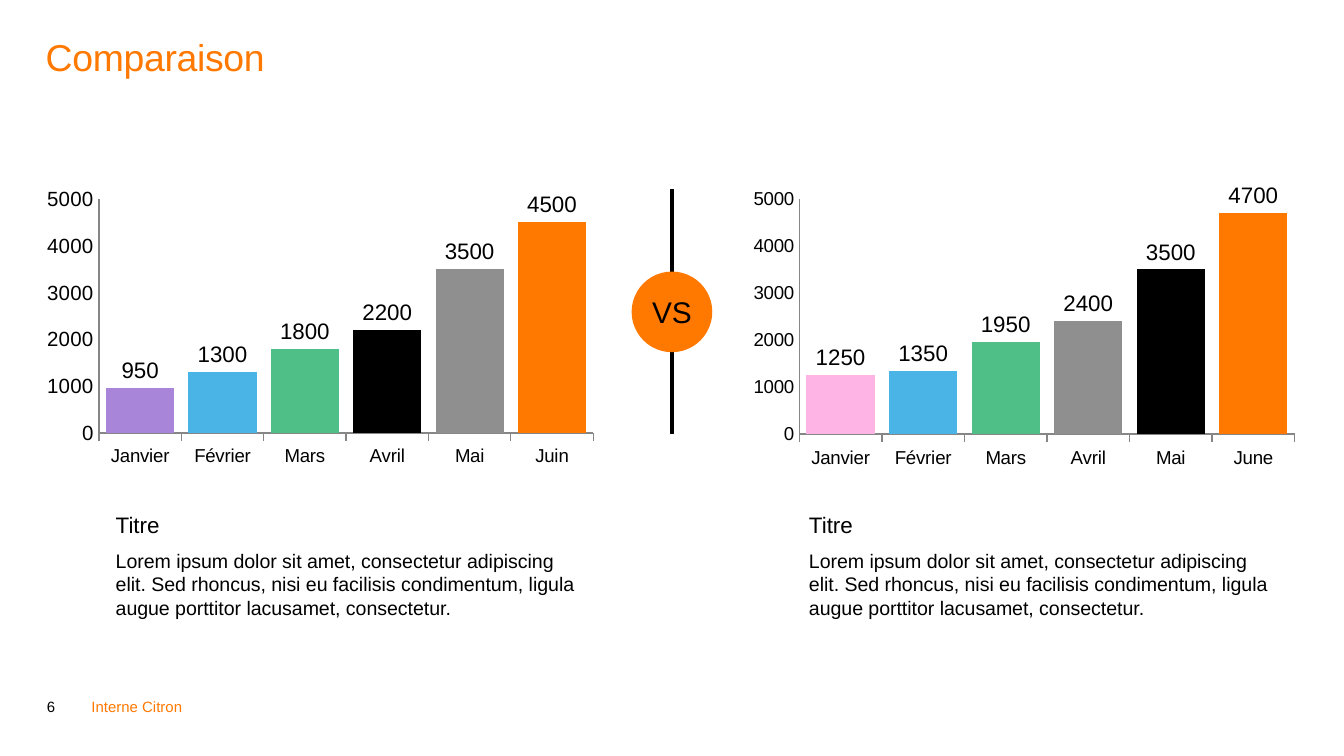
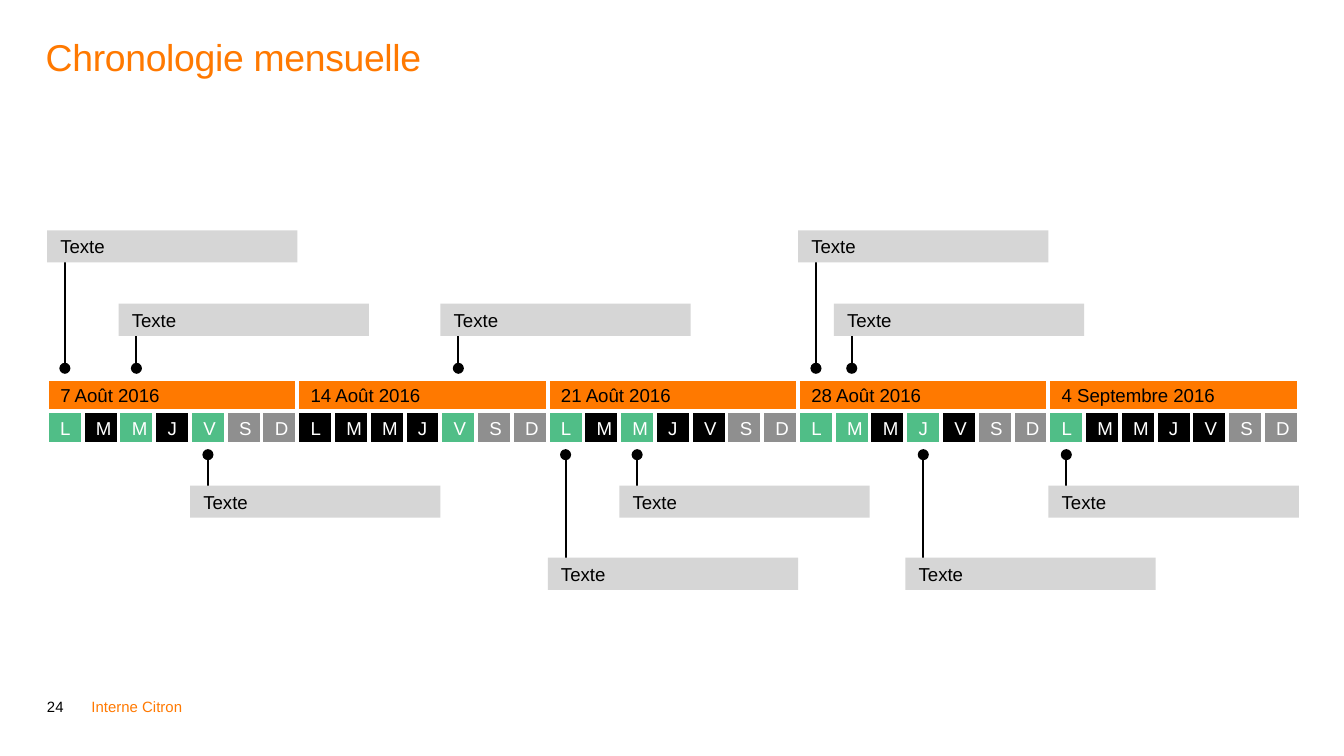
from lxml import etree
from pptx import Presentation
from pptx.chart.data import CategoryChartData
from pptx.dml.color import RGBColor
from pptx.enum import chart as ch, shapes, text
from pptx.oxml import parse_xml
from pptx.oxml.ns import nsdecls, qn
from pptx.util import Pt

FONT = "Arial"
COLORS = {name: RGBColor.from_string(value) for name, value in {
    "orange": "FF7900", "black": "000000", "white": "FFFFFF", "gray": "8F8F8F",
    "light": "D6D6D6", "green": "50BE87", "blue": "4BB4E6", "purple": "A885D8",
    "pink": "FFB4E6", "axis": "868686"}.items()}
LEFT, CENTER = text.PP_ALIGN.LEFT, text.PP_ALIGN.CENTER
TOP, MIDDLE, BOTTOM = (text.MSO_ANCHOR.TOP, text.MSO_ANCHOR.MIDDLE,
                       text.MSO_ANCHOR.BOTTOM)


def add_block(slide, box, lines, color="black", fill=None, outline=None,
              kind=shapes.MSO_SHAPE.RECTANGLE, align=LEFT, anchor=MIDDLE, wrap=True):
    """Add a filled shape, or a margin-free text box without fill; lines are (text, size)."""
    box = [Pt(length) for length in box]
    if fill:
        shape = slide.shapes.add_shape(kind, *box)
        shape.shadow.inherit = False
        shape.fill.solid()
        shape.fill.fore_color.rgb = COLORS[fill]
        if outline:
            shape.line.color.rgb = COLORS[outline]
            shape.line.width = Pt(2)
        else:
            shape.line.fill.background()
    else:
        shape = slide.shapes.add_textbox(*box)
    frame = shape.text_frame
    if not fill:
        frame.margin_left = frame.margin_right = frame.margin_top = frame.margin_bottom = 0
    frame.word_wrap = wrap
    frame.vertical_anchor = anchor
    for index, (content, size) in enumerate(lines):
        paragraph = frame.add_paragraph() if index else frame.paragraphs[0]
        paragraph.text = content
        paragraph.alignment = align
        paragraph.font.name = FONT
        paragraph.font.size = Pt(size)
        paragraph.font.color.rgb = COLORS[color]
        if index:
            paragraph.space_before = Pt(6)


def add_vertical_line(slide, x, start, end, width, dot=False):
    line = slide.shapes.add_connector(
        shapes.MSO_CONNECTOR.STRAIGHT, Pt(x), Pt(start), Pt(x), Pt(end))
    line.line.color.rgb = COLORS["black"]
    line.line.width = Pt(width)
    if dot:
        etree.SubElement(line.line._get_or_add_ln(), qn("a:tailEnd"), type="oval")
    etree.SubElement(line._element.spPr, qn("a:effectLst"))


presentation = Presentation()
presentation.slide_width, presentation.slide_height = Pt(720), Pt(405)

# Title, number and footer of each slide
slides = []
for title_text, number in [("Comparaison", "6"), ("Chronologie mensuelle", "24")]:
    slide = presentation.slides.add_slide(presentation.slide_layouts[5])
    slides.append(slide)
    title = slide.shapes.title
    title.left, title.top, title.width, title.height = Pt(24.5), Pt(21), Pt(670), Pt(58)
    frame = title.text_frame
    frame.text = title_text
    frame.margin_left = frame.margin_right = frame.margin_top = frame.margin_bottom = 0
    frame.vertical_anchor = TOP
    frame.auto_size = text.MSO_AUTO_SIZE.NONE
    paragraph = frame.paragraphs[0]
    paragraph.alignment = LEFT
    paragraph.line_spacing = 0.9
    paragraph.font.name = FONT
    paragraph.font.size = Pt(20)
    paragraph.font.color.rgb = COLORS["orange"]
    paragraph.runs[0].font._element.set("spc", "-20")
    add_block(slide, (25.2, 357, 21.6, 26.6), [(number, 8)], anchor=BOTTOM)
    add_block(slide, (49, 373.7, 58, 9.4), [("Interne Citron", 8)], "orange",
              anchor=TOP, wrap=False)
comparison, timeline = slides

# Comparison: one chart and one text per side
MONTHS = ["Janvier", "Février", "Mars", "Avril", "Mai"]
LOREM = ("Lorem ipsum dolor sit amet, consectetur adipiscing elit. Sed rhoncus, nisi eu "
         "facilisis condimentum, ligula augue porttitor lacusamet, consectetur.")
SIDES = [
    # chart left, chart top, text left, last month, value axis size, plot top and height
    (25.2, 94.3, 62, "Juin", 11, 0.077, 0.789, [950, 1300, 1800, 2200, 3500, 4500],
     ["purple", "blue", "green", "black", "gray", "orange"]),
    (401, 95, 433.4, "June", 10, 0.073, 0.793, [1250, 1350, 1950, 2400, 3500, 4700],
     ["pink", "blue", "green", "gray", "black", "orange"]),
]
for (chart_left, chart_top, text_left, last_month, axis_size, plot_top, plot_height,
     values, bar_colors) in SIDES:
    data = CategoryChartData()
    data.categories = MONTHS + [last_month]
    data.add_series("Series 1", values)
    chart = comparison.shapes.add_chart(
        ch.XL_CHART_TYPE.COLUMN_CLUSTERED, Pt(chart_left), Pt(chart_top),
        Pt(293), Pt(159), data).chart
    chart.has_legend = chart.has_title = False
    chart.font.name = FONT
    chart.font.size = Pt(10)
    chart.font.color.rgb = COLORS["black"]

    value_axis, category_axis = chart.value_axis, chart.category_axis
    value_axis.minimum_scale, value_axis.maximum_scale = 0, 5000
    value_axis.major_unit = 1000
    value_axis.has_major_gridlines = False
    value_axis.major_tick_mark = ch.XL_TICK_MARK.NONE
    category_axis.major_tick_mark = ch.XL_TICK_MARK.OUTSIDE
    for axis, size in [(value_axis, axis_size), (category_axis, 10)]:
        axis.tick_labels.font.size = Pt(size)
        axis.format.line.color.rgb = COLORS["axis"]
        axis.format.line.width = Pt(0.75)

    plot = chart.plots[0]
    plot.gap_width = 21
    plot.vary_by_categories = False
    plot.has_data_labels = True
    labels = plot.data_labels
    labels.show_value = True
    labels.position = ch.XL_LABEL_POSITION.OUTSIDE_END
    labels.font.size = Pt(12)
    series = plot.series[0]
    series.format.fill.solid()
    series.format.fill.fore_color.rgb = COLORS["orange"]
    for index, name in enumerate(bar_colors):
        fill = series.points[index].format.fill
        fill.solid()
        fill.fore_color.rgb = COLORS[name]

    plot_area = chart._chartSpace.chart.plotArea
    for layout in plot_area.findall(qn("c:layout")):
        plot_area.remove(layout)
    plot_area.insert(0, parse_xml(
        f'<c:layout {nsdecls("c")}><c:manualLayout><c:layoutTarget val="inner"/>'
        '<c:xMode val="edge"/><c:yMode val="edge"/>'
        f'<c:x val="0.093"/><c:y val="{plot_top}"/>'
        f'<c:w val="0.907"/><c:h val="{plot_height}"/></c:manualLayout></c:layout>'))

    add_block(comparison, (text_left, 273.6, 252.7, 59),
              [("Titre", 12), (LOREM, 10.5)], anchor=TOP)

add_vertical_line(comparison, 360, 232.5, 101.5, 2)
add_block(comparison, (338.4, 145.5, 43.2, 43.2), [("VS", 16)], fill="orange",
          kind=shapes.MSO_SHAPE.OVAL, align=CENTER, wrap=False)

# Timeline: weeks, days, and a card for each marked day
LEFT_EDGE, WEEK_WIDTH, ROW_HEIGHT = 25.2, 134.12, 17.2
DAY_WIDTH = WEEK_WIDTH / 7
WEEKS = ["7 Août 2016", "14 Août 2016", "21 Août 2016", "28 Août 2016", "4 Septembre 2016"]
CARD_TOPS = {0: 123.4, 2: 162.7, 11: 162.7, 21: 123.4, 22: 162.7,
             4: 260.2, 14: 298.8, 16: 260.2, 24: 298.8, 28: 260.2}
for week, label in enumerate(WEEKS):
    add_block(timeline, (LEFT_EDGE + week * WEEK_WIDTH, 203.2, WEEK_WIDTH, ROW_HEIGHT),
              [(label, 10)], fill="orange", outline="white")
for day, letter in enumerate("LMMJVSD" * len(WEEKS)):
    fill = "green" if day in CARD_TOPS else "gray" if day % 7 > 4 else "black"
    add_block(timeline, (LEFT_EDGE + day * DAY_WIDTH, 220.5, DAY_WIDTH, ROW_HEIGHT),
              [(letter, 10)], "white", fill, "white", align=CENTER)
for day, top in CARD_TOPS.items():
    left = LEFT_EDGE + day * DAY_WIDTH
    start, end = (top + ROW_HEIGHT, 197.3) if top < 203 else (top, 243.6)
    add_vertical_line(timeline, left + DAY_WIDTH / 2, start, end, 1, dot=True)
    add_block(timeline, (left, top, WEEK_WIDTH, ROW_HEIGHT), [("Texte", 10)], fill="light")

presentation.save("out.pptx")
